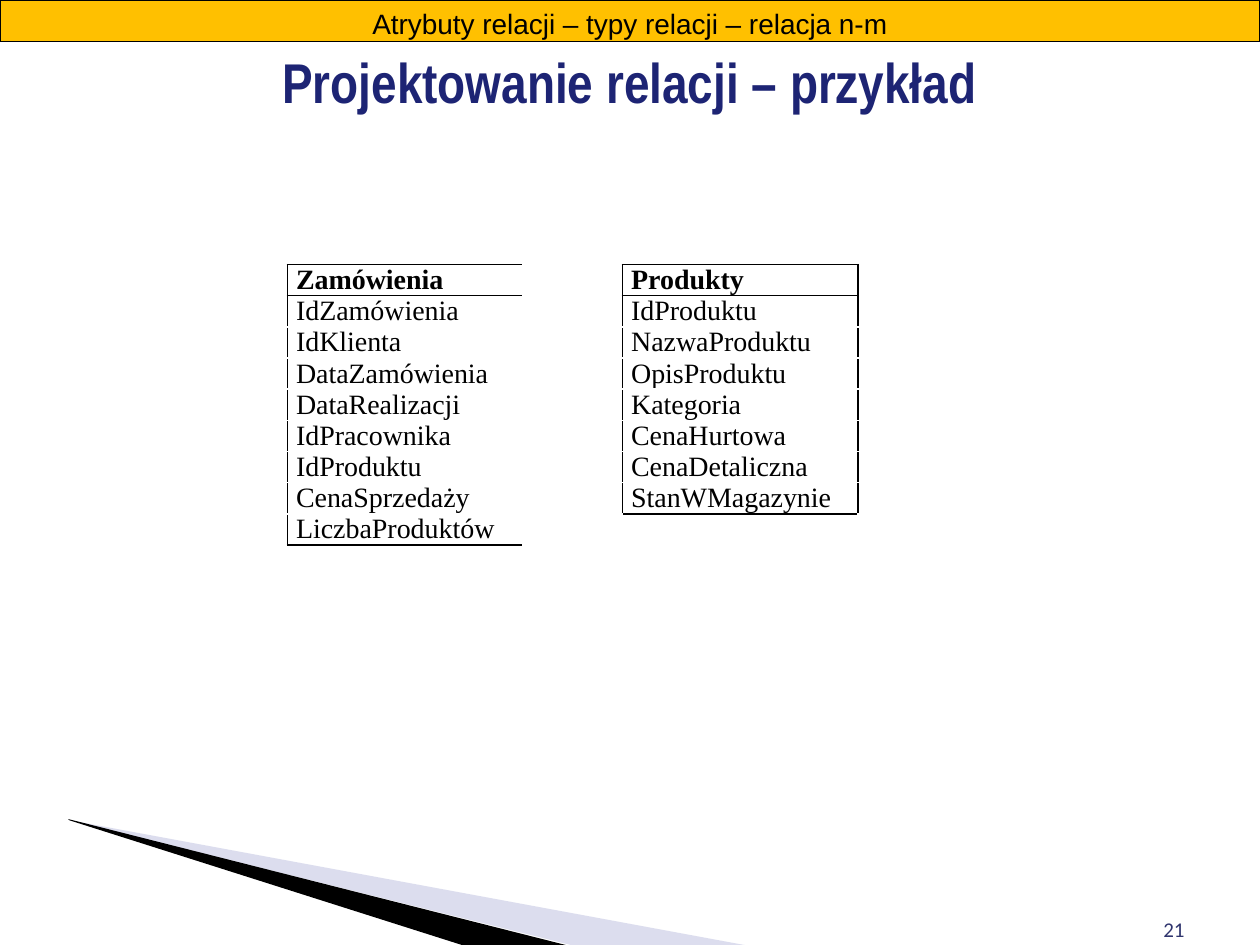
from pptx import Presentation
from pptx.util import Inches, Pt
from pptx.dml.color import RGBColor
from pptx.enum.shapes import MSO_SHAPE
from pptx.enum.text import PP_ALIGN, MSO_ANCHOR, MSO_AUTO_SIZE
from pptx.oxml.ns import qn
from lxml.etree import SubElement

BANNER = "Atrybuty relacji – typy relacji – relacja n-m"
TITLE = "Projektowanie relacji – przykład"
NUMBER = "21"
ENTITIES = [
    ["Zamówienia", "IdZamówienia", "IdKlienta", "DataZamówienia", "DataRealizacji",
     "IdPracownika", "IdProduktu", "CenaSprzedaży", "LiczbaProduktów"],
    ["Produkty", "IdProduktu", "NazwaProduktu", "OpisProduktu", "Kategoria",
     "CenaHurtowa", "CenaDetaliczna", "StanWMagazynie"],
]
COLORS = {"black": "000000", "amber": "FFC000", "navy": "1D2474",
          "number": "30356E", "lilac": "A8ABD5"}
WEDGES = [
    ("lilac", 40, [(0.55, 6.51), (5.96, 7.51), (4.57, 7.51)]),
    ("black", 100, [(0.54, 6.5), (4.57, 7.52), (3.73, 7.52), (0.55, 6.51)]),
]
COL_WIDTHS = [1.87, 0.79, 1.87]
ROW_HEIGHT = 0.24


def rgb(name):
    return RGBColor.from_string(COLORS[name])


def write(tf, text, font, size, color, bold=False, align=PP_ALIGN.LEFT):
    p = tf.paragraphs[0]
    p.alignment = align
    r = p.add_run()
    r.text = text
    r.font.name = font
    r.font.size = Pt(size)
    r.font.bold = bold
    r.font.color.rgb = rgb(color)


def set_insets(tf, x, y):
    tf.margin_left = tf.margin_right = Inches(x)
    tf.margin_top = tf.margin_bottom = Inches(y)


def place(s, left, top, width, height):
    s.left, s.top = Inches(left), Inches(top)
    s.width, s.height = Inches(width), Inches(height)


def add_wedge(slide, color, alpha, points):
    pts = [(Inches(x), Inches(y)) for x, y in points]
    builder = slide.shapes.build_freeform(*pts[0])
    builder.add_line_segments(pts[1:], close=True)
    s = builder.convert_to_shape()
    s.shadow.inherit = False
    s.fill.solid()
    s.fill.fore_color.rgb = rgb(color)
    s.line.fill.background()
    if alpha < 100:
        clr = s.fill._xPr.find(qn("a:solidFill"))[0]
        SubElement(clr, qn("a:alpha"), val=str(alpha * 1000))


def set_borders(cell, sides):
    tcPr = cell._tc.get_or_add_tcPr()
    for side in "LRTB":
        if side in sides:
            ln = SubElement(tcPr, qn(f"a:ln{side}"), w=str(Pt(1)))
            fill = SubElement(ln, qn("a:solidFill"))
            SubElement(fill, qn("a:srgbClr"), val=COLORS["black"])


def add_entities(slide):
    rows = max(len(e) for e in ENTITIES)
    table = slide.shapes.add_table(
        rows, len(COL_WIDTHS), Inches(2.28), Inches(2.1),
        Inches(sum(COL_WIDTHS)), Inches(ROW_HEIGHT * rows)).table
    table.first_row = table.horz_banding = False
    for column, width in zip(table.columns, COL_WIDTHS):
        column.width = Inches(width)
    columns = [ENTITIES[0], [], ENTITIES[1]]
    for i in range(rows):
        table.rows[i].height = Inches(ROW_HEIGHT)
        for j, names in enumerate(columns):
            cell = table.cell(i, j)
            set_insets(cell, 0.07, 0)
            if i < len(names):
                write(cell.text_frame, names[i], "Times New Roman", 16, "black", bold=i == 0)
                top = "T" if i < 2 else ""
                bottom = "B" if i in (0, len(names) - 1) else ""
                set_borders(cell, "LR" + top + bottom)
            else:
                SubElement(cell.text_frame.paragraphs[0]._p, qn("a:endParaRPr"), sz="1200")
                if names and i == len(names):
                    set_borders(cell, "T")
            cell.fill.background()


def main():
    prs = Presentation()
    prs.slide_width, prs.slide_height = Inches(10), Inches(7.5)
    slide = prs.slides.add_slide(prs.slide_layouts[5])

    for wedge in WEDGES:
        add_wedge(slide, *wedge)

    title = slide.shapes.title
    place(title, 0, 0.33, 10, 0.58)
    tf = title.text_frame
    tf.auto_size = MSO_AUTO_SIZE.NONE
    tf.vertical_anchor = MSO_ANCHOR.TOP
    set_insets(tf, 0.05, 0.05)
    write(tf, TITLE, "Arial Narrow", 32, "navy", True, PP_ALIGN.CENTER)

    add_entities(slide)

    s = slide.shapes.add_shape(MSO_SHAPE.RECTANGLE, 0, 0, Inches(10), Inches(0.33))
    s.shadow.inherit = False
    s.fill.solid()
    s.fill.fore_color.rgb = rgb("amber")
    s.line.color.rgb = rgb("black")
    s.line.width = Pt(0.75)
    s.text_frame.vertical_anchor = MSO_ANCHOR.TOP
    write(s.text_frame, BANNER, "Arial", 16, "black", align=PP_ALIGN.CENTER)

    s = slide.shapes.add_textbox(Inches(7.17), Inches(7), Inches(2.33), Inches(0.52))
    tf = s.text_frame
    tf.word_wrap = True
    tf.vertical_anchor = MSO_ANCHOR.BOTTOM
    write(tf, NUMBER, "Calibri", 12, "number", align=PP_ALIGN.RIGHT)

    prs.save("out.pptx")


if __name__ == "__main__":
    main()
